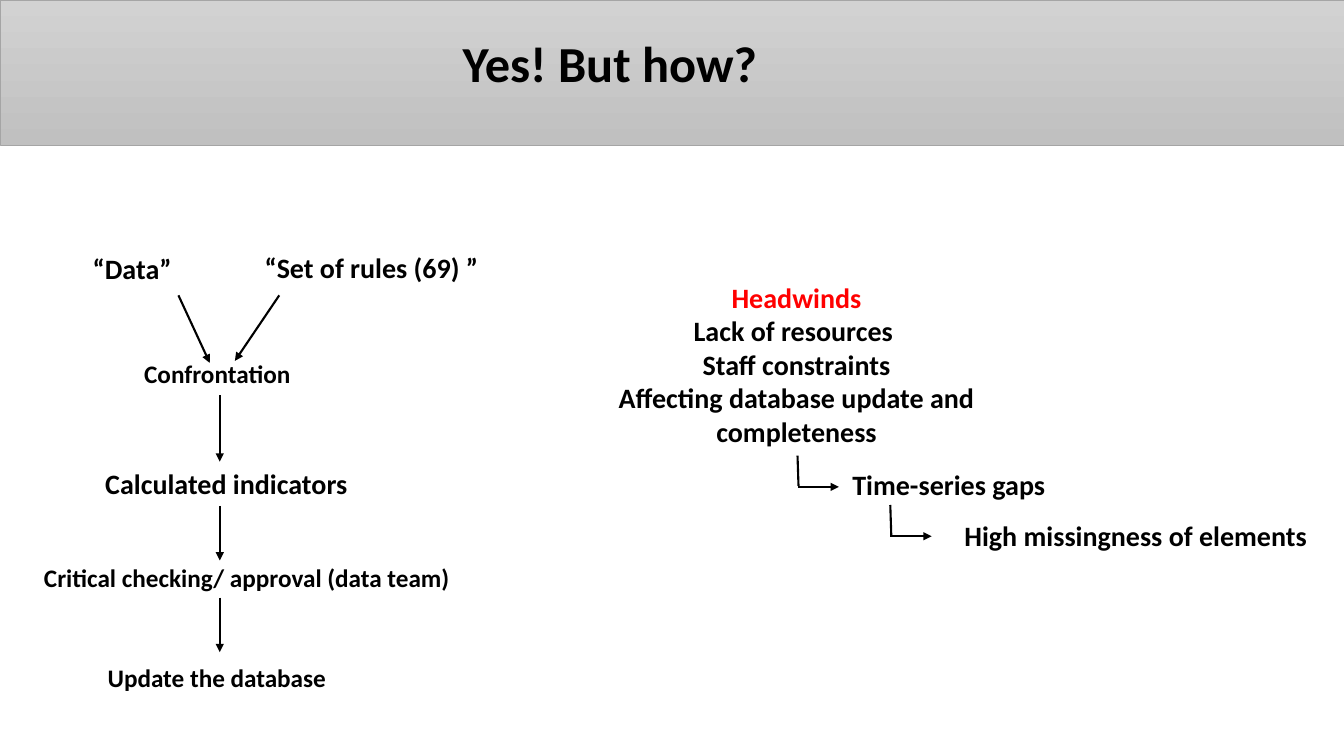
from dataclasses import dataclass

from lxml import etree
from pptx import Presentation
from pptx.dml.color import RGBColor
from pptx.enum.shapes import MSO_CONNECTOR, MSO_SHAPE
from pptx.enum.text import MSO_ANCHOR, MSO_AUTO_SIZE, PP_ALIGN
from pptx.oxml.ns import qn
from pptx.util import Inches, Pt

STRAIGHT = MSO_CONNECTOR.STRAIGHT
RECTANGLE = MSO_SHAPE.RECTANGLE
TOP = MSO_ANCHOR.TOP
FIXED = MSO_AUTO_SIZE.NONE
GROW = MSO_AUTO_SIZE.SHAPE_TO_FIT_TEXT
CENTER = PP_ALIGN.CENTER

FONT = "Calibri"
TITLE_ONLY = 5
SPINE_X = 2.18
COLORS = {
    "text": "000000",
    "alert": "FF0000",
    "band_top": "D2D2D2",
    "band_bottom": "C0C0C0",
    "band_line": "A5A5A5",
}


@dataclass
class Label:
    text: str
    left: float
    top: float
    width: float
    height: float = 0.44
    size: int = 20
    first_color: str = "text"


@dataclass
class Line:
    x1: float
    y1: float
    x2: float
    y2: float
    arrow: bool = True


LABELS = [
    Label("“Data”", 0.7, 2.45, 1.22),
    Label("“Set of rules (69) ”", 2.45, 2.44, 2.47),
    Label("Confrontation", 1.17, 3.51, 1.97, 0.4, 18),
    Label("Calculated indicators", 0.79, 4.58, 2.91),
    Label("Critical checking/ approval (data team)", 0.27, 5.53, 4.36, 0.4, 18),
    Label("Update the database ", 0, 6.52, 4.36, 0.4, 18),
    Label(
        "Headwinds\nLack of resources \nStaff constraints\n"
        "Affecting database update and completeness",
        5.57, 2.73, 4.66, 1.78, first_color="alert",
    ),
    Label("Time-series gaps", 8.35, 4.59, 2.12),
    Label("High missingness of elements", 9, 5.09, 4.53),
]

MERGING_ARROWS = [Line(1.77, 2.93, 2.08, 3.6), Line(2.77, 2.93, 2.33, 3.58)]
SPINE_SPANS = [(3.92, 4.58), (5.02, 5.56), (5.93, 6.47)]
ELBOWS = [(7.91, 4.52), (8.83, 5.01)]


def color(name: str) -> RGBColor:
    return RGBColor.from_string(COLORS[name])


def write(tf, text: str, *, size: int, first_color: str = "text", auto_size=GROW) -> None:
    tf.word_wrap = True
    tf.auto_size = auto_size
    tf.vertical_anchor = TOP
    for i, content in enumerate(text.split("\n")):
        p = tf.add_paragraph() if i else tf.paragraphs[0]
        p.alignment = CENTER
        r = p.add_run()
        r.text = content
        r.font.name = FONT
        r.font.size = Pt(size)
        r.font.bold = True
        r.font.color.rgb = color("text" if i else first_color)


def add_title(s, text: str) -> None:
    title = s.shapes.title
    title.left, title.top = Inches(-0.22), Inches(0.27)
    title.width, title.height = Inches(12.54), Inches(1.92)
    write(title.text_frame, text, size=36, auto_size=FIXED)


def add_band(s, width: int) -> None:
    band = s.shapes.add_shape(RECTANGLE, 0, 0, width, Inches(1.44))
    band.shadow.inherit = False
    band.fill.gradient()
    band.fill.gradient_angle = 270
    for stop, name in zip(band.fill.gradient_stops, ("band_top", "band_bottom")):
        stop.color.rgb = color(name)
    band.line.color.rgb = color("band_line")
    band.line.width = Pt(0.5)
    s.shapes.title.element.addprevious(band.element)


def add_label(s, label: Label) -> None:
    box = s.shapes.add_textbox(
        Inches(label.left), Inches(label.top), Inches(label.width), Inches(label.height)
    )
    write(box.text_frame, label.text, size=label.size, first_color=label.first_color)


def add_line(s, line: Line) -> None:
    sp = s.shapes.add_connector(
        STRAIGHT, Inches(line.x1), Inches(line.y1), Inches(line.x2), Inches(line.y2)
    )
    sp.line.color.rgb = color("text")
    sp.line.width = Pt(1.5)
    if line.arrow:
        etree.SubElement(sp.line._get_or_add_ln(), qn("a:tailEnd"), type="triangle")
    etree.SubElement(sp.element.spPr, qn("a:effectLst"))


def elbow(x: float, y: float) -> list[Line]:
    corner = y + 0.31
    return [
        Line(x, y, x + 0.01, y + 0.3, arrow=False),
        Line(x, corner, x + 0.41, corner),
    ]


def main() -> None:
    prs = Presentation()
    prs.slide_width, prs.slide_height = Inches(13.33), Inches(7.5)
    s = prs.slides.add_slide(prs.slide_layouts[TITLE_ONLY])
    add_title(s, "Yes! But how?")
    add_band(s, prs.slide_width)
    for label in LABELS:
        add_label(s, label)
    spine = [Line(SPINE_X, start, SPINE_X, end) for start, end in SPINE_SPANS]
    elbows = [line for x, y in ELBOWS for line in elbow(x, y)]
    for line in MERGING_ARROWS + spine + elbows:
        add_line(s, line)
    prs.save("out.pptx")


if __name__ == "__main__":
    main()
